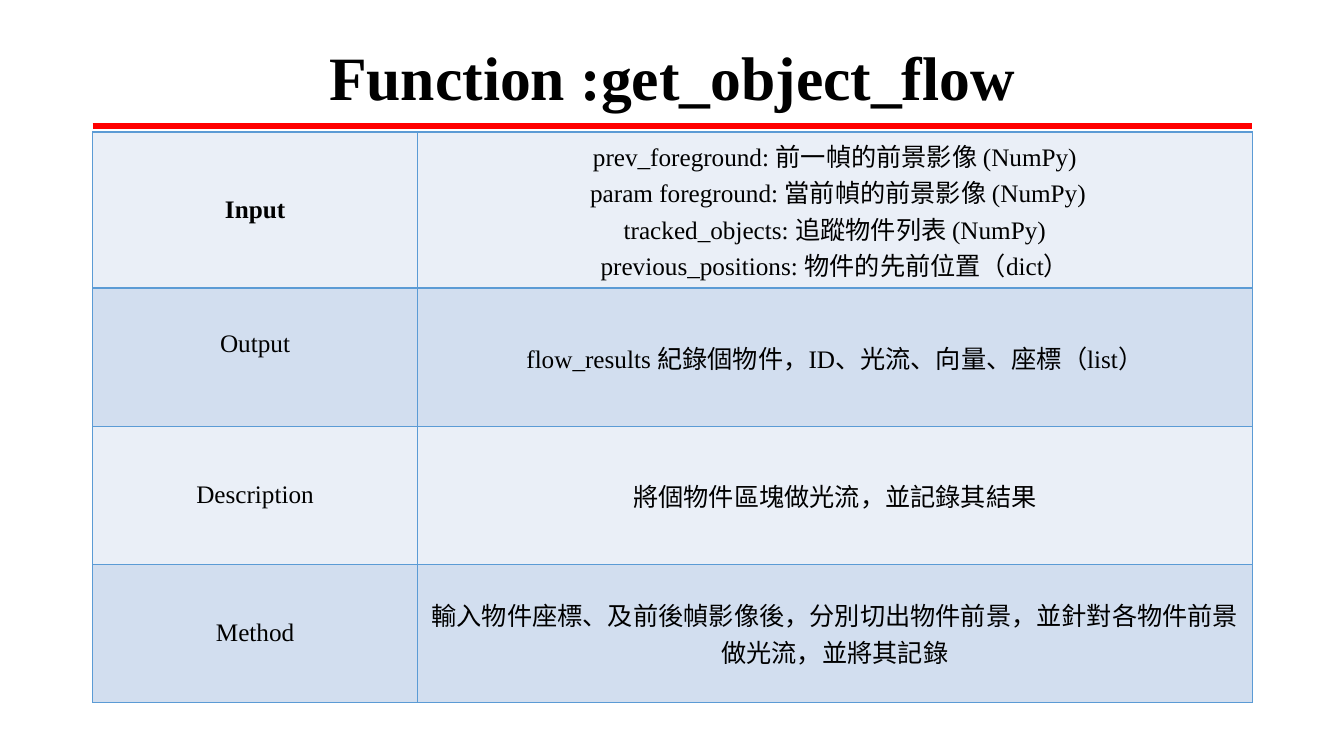
import pptx
import pptx.util
import pptx.dml.color
import pptx.enum.shapes
import pptx.enum.text
import pptx.oxml
import pptx.oxml.ns

Inches, Pt = pptx.util.Inches, pptx.util.Pt
RGBColor = pptx.dml.color.RGBColor
CENTER = pptx.enum.text.PP_ALIGN.CENTER
MIDDLE = pptx.enum.text.MSO_ANCHOR.MIDDLE

BLACK = RGBColor(0x00, 0x00, 0x00)
RED = RGBColor(0xFF, 0x00, 0x00)
BORDER = RGBColor(0x5B, 0x9B, 0xD5)
BANDS = (RGBColor(0xEA, 0xEF, 0xF7), RGBColor(0xD2, 0xDE, 0xEF))

FONT = "Times New Roman"
LEFT, WIDTH = 0.92, 11.5
LABEL_WIDTH = 3.22
ROW_HEIGHT = 1.37

ROWS = [
    ("Input", [
        "prev_foreground: 前一幀的前景影像 (NumPy)",
        " param foreground: 當前幀的前景影像 (NumPy)",
        "tracked_objects: 追蹤物件列表 (NumPy)",
        "previous_positions: 物件的先前位置（dict）",
    ]),
    ("Output", ["flow_results 紀錄個物件，ID、光流、向量、座標（list）"]),
    ("Description", ["將個物件區塊做光流，並記錄其結果"]),
    ("Method", ["輸入物件座標、及前後幀影像後，分別切出物件前景，並針對各物件前景做光流，並將其記錄"]),
]


def write_paragraphs(tf, lines, size, bold):
    tf.text = "\n".join(lines)
    for p in tf.paragraphs:
        p.alignment = CENTER
        font = p.runs[0].font
        for name, value in {"name": FONT, "size": Pt(size), "bold": bold}.items():
            setattr(font, name, value)
        font.color.rgb = BLACK


def add_title(s, text, left, top, width, height):
    title = s.shapes.title
    box = {"left": left, "top": top, "width": width, "height": height}
    for name, value in box.items():
        setattr(title, name, Inches(value))
    tf = title.text_frame
    tf.word_wrap = True
    tf.vertical_anchor = MIDDLE
    write_paragraphs(tf, [text], 44, True)
    tf.paragraphs[0].line_spacing = 0.9


def add_rule(s, left, top, width):
    line = s.shapes.add_connector(
        pptx.enum.shapes.MSO_CONNECTOR.STRAIGHT,
        Inches(left), Inches(top), Inches(left + width), Inches(top))
    line.line.color.rgb = RED
    line.line.width = Pt(4.5)
    sp_pr = line._element.spPr
    sp_pr.append(pptx.oxml.parse_xml(
        f'<a:effectLst {pptx.oxml.ns.nsdecls("a")}/>'))


def add_borders(cell):
    tc_pr = cell._tc.get_or_add_tcPr()
    for side in "LRTB":
        tc_pr.append(pptx.oxml.parse_xml(
            f'<a:ln{side} {pptx.oxml.ns.nsdecls("a")} w="{Pt(1)}"><a:solidFill>'
            f'<a:srgbClr val="{BORDER}"/></a:solidFill></a:ln{side}>'))


def add_function_table(s, rows, left, top, width):
    frame = s.shapes.add_table(
        len(rows), 2, Inches(left), Inches(top),
        Inches(width), Inches(ROW_HEIGHT * len(rows)))
    table = frame.table
    table.first_row = table.horz_banding = False
    table.columns[0].width = Inches(LABEL_WIDTH)
    table.columns[1].width = Inches(width - LABEL_WIDTH)
    for i, (label, lines) in enumerate(rows):
        for j, content in enumerate(([label], lines)):
            cell = table.cell(i, j)
            add_borders(cell)
            cell.fill.solid()
            cell.fill.fore_color.rgb = BANDS[i % 2]
            cell.vertical_anchor = MIDDLE
            write_paragraphs(cell.text_frame, content, 18, i == 0 and j == 0)
    # The Output label sits a little above the middle of its row.
    table.cell(1, 0).margin_bottom = Inches(0.32)


def main():
    prs = pptx.Presentation()
    prs.slide_width, prs.slide_height = Inches(13.33), Inches(7.5)
    s = prs.slides.add_slide(prs.slide_layouts.get_by_name("Title Only"))
    add_rule(s, LEFT, 1.25, WIDTH)
    add_function_table(s, ROWS, LEFT, 1.31, WIDTH)
    add_title(s, "Function :get_object_flow", LEFT, 0.4, WIDTH, 0.79)
    prs.save("out.pptx")


if __name__ == "__main__":
    main()
